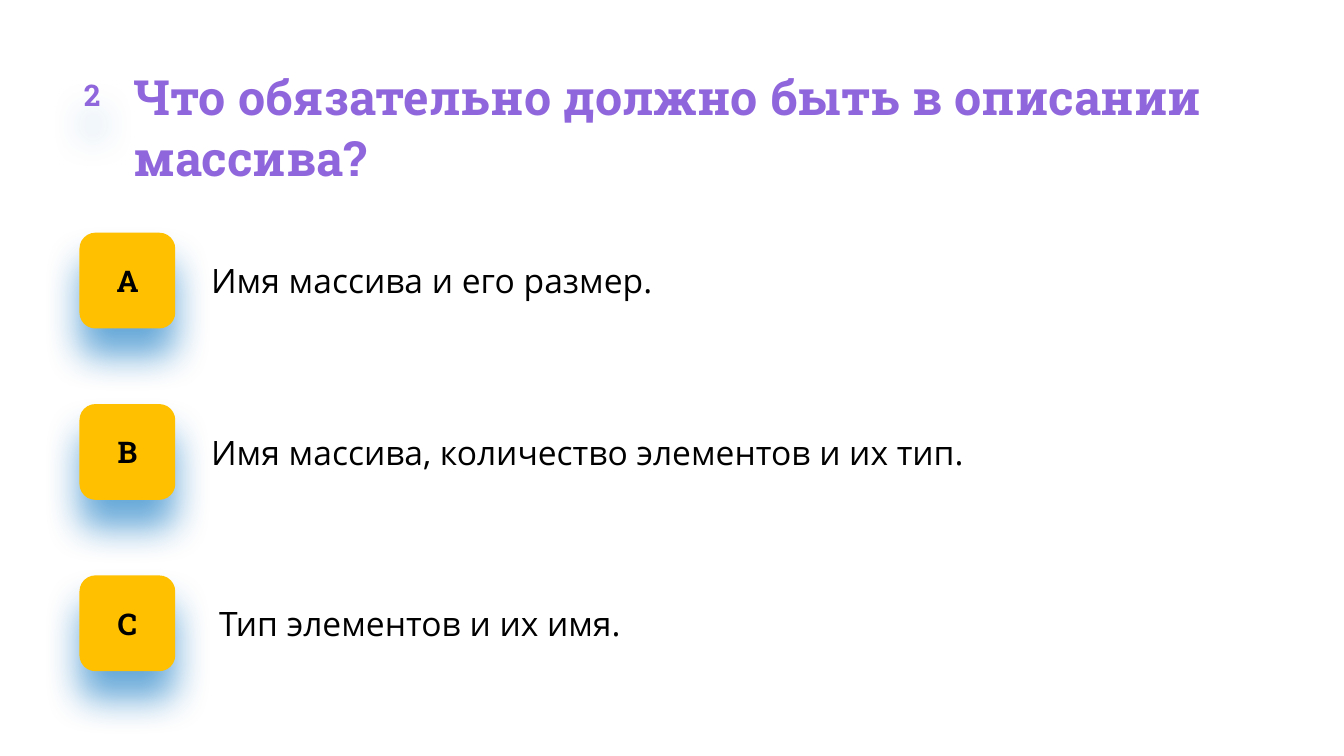
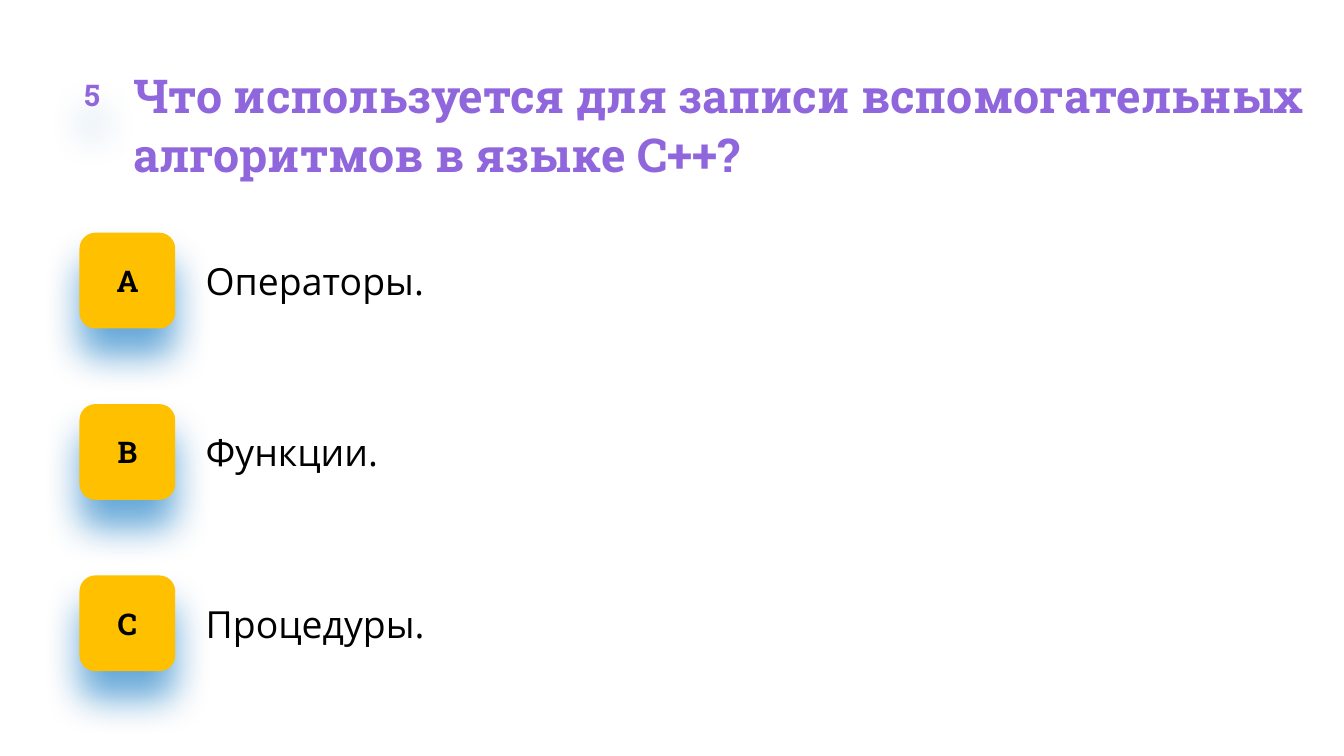
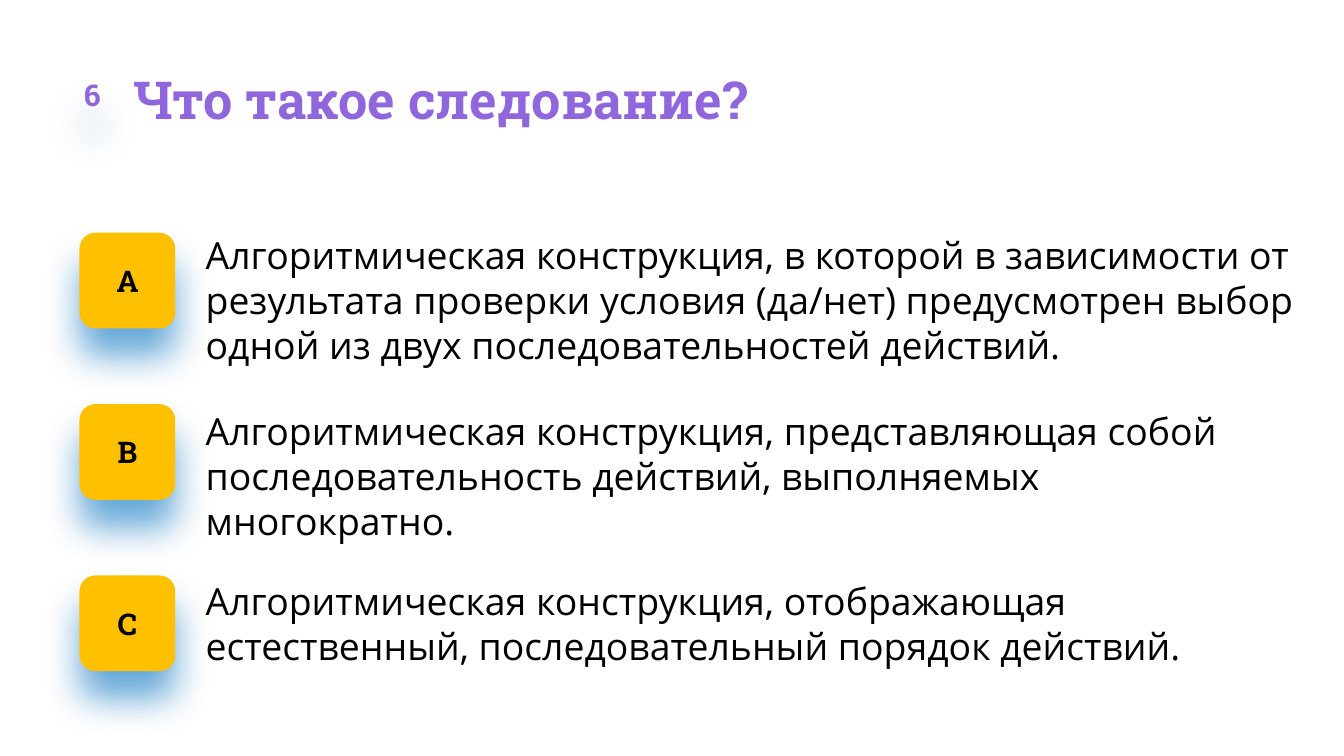
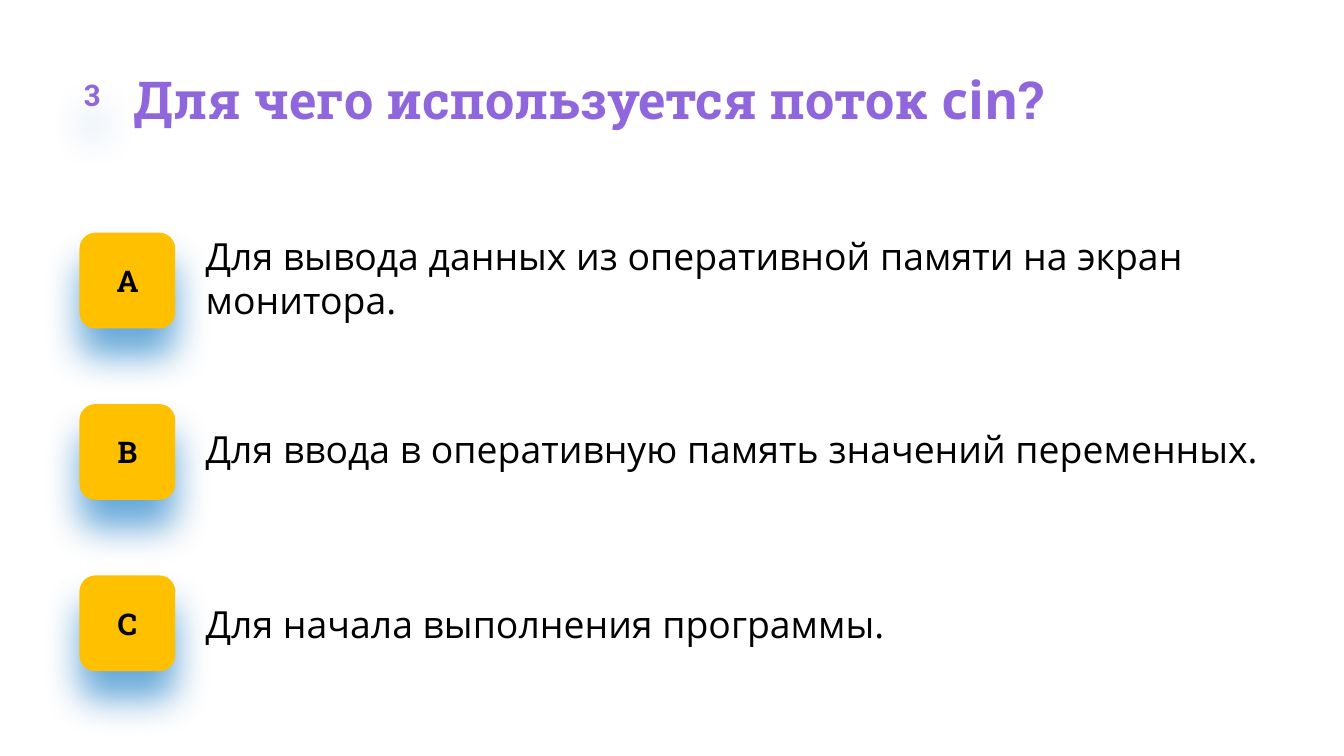
import dataclasses

import lxml.etree
import pptx
import pptx.dml.color
import pptx.enum.shapes
import pptx.enum.text
import pptx.oxml.ns
import pptx.util

Pt = pptx.util.Pt
qn = pptx.oxml.ns.qn


@dataclasses.dataclass(frozen=True)
class Theme:
    purple: str = "9066DC"
    amber: str = "FFC000"
    glow: str = "0070C0"
    black: str = "000000"
    head_font: str = "Roboto Slab"
    body_font: str = "Open Sans"
    label_size: int = 16
    answer_size: int = 20
    small_answer_size: int = 18
    title_spacing: float = 1.06
    line_ratio: float = 1.21


class Quiz:
    tile_left, tile_top, tile_size, tile_step = 42.6, 124.7, 51.3, 91.8
    answer_left, answer_inset = 100.1, 10.1

    def __init__(self, prs, theme):
        self.prs = prs
        self.theme = theme
        self.slide = None

    def new_slide(self):
        self.slide = self.prs.slides.add_slide(self.prs.slide_layouts[6])

    def frame(self, sp, **extra):
        fmt = dict(margin_left=0, margin_top=0, margin_right=0, margin_bottom=0, word_wrap=True)
        for name, value in (fmt | extra).items():
            setattr(sp.text_frame, name, value)
        return sp.text_frame.paragraphs[0]

    def run(self, p, text, size, font, color, bold=False):
        r = p.add_run()
        r.text = text
        for name, value in dict(size=Pt(size), name=font, bold=bold).items():
            setattr(r.font, name, value)
        r.font.color.rgb = pptx.dml.color.RGBColor.from_string(color)

    def text_box(self, left, top, width, height, inset=0):
        sp = self.slide.shapes.add_textbox(Pt(left), Pt(top), Pt(width), Pt(height))
        return self.frame(sp, margin_left=Pt(inset),
                          auto_size=pptx.enum.text.MSO_AUTO_SIZE.SHAPE_TO_FIT_TEXT)

    def glow(self, sp):
        sp.shadow.inherit = False
        effects = sp._element.spPr.find(qn("a:effectLst"))
        shadow = lxml.etree.SubElement(effects, qn("a:outerShdw"), {
            "blurRad": str(Pt(20)), "dist": str(Pt(15)), "dir": "5400000",
            "algn": "t", "rotWithShape": "0"})
        color = lxml.etree.SubElement(shadow, qn("a:srgbClr"), val=self.theme.glow)
        lxml.etree.SubElement(color, qn("a:alpha"), val="60000")

    def tile(self, text, left, top, size, color, fill=None):
        sp = self.slide.shapes.add_shape(
            pptx.enum.shapes.MSO_SHAPE.ROUNDED_RECTANGLE, Pt(left), Pt(top), Pt(size), Pt(size))
        if fill:
            sp.fill.solid()
            sp.fill.fore_color.rgb = pptx.dml.color.RGBColor.from_string(fill)
        else:
            sp.fill.background()
        sp.line.fill.background()
        self.glow(sp)
        p = self.frame(sp, vertical_anchor=pptx.enum.text.MSO_ANCHOR.MIDDLE)
        p.alignment = pptx.enum.text.PP_ALIGN.CENTER
        self.run(p, text, self.theme.label_size, self.theme.head_font, color, True)

    def title(self, parts, size, width, height):
        p = self.text_box(71.5, 33.8, width, height)
        p.line_spacing = self.theme.title_spacing
        for text, font in parts:
            self.run(p, text, size, font, self.theme.purple, True)

    def number(self, text):
        self.tile(text, 28.1, 29.5, 42.5, self.theme.purple)

    def option(self, row, letter):
        self.tile(letter, self.tile_left, self.tile_top + row * self.tile_step,
                  self.tile_size, self.theme.black, self.theme.amber)

    def answer(self, row, text, width, lines=1, shift=0, left=answer_left, size=None, indent=0):
        size = size or self.theme.answer_size
        height = lines * size * self.theme.line_ratio
        middle = self.tile_top + row * self.tile_step + self.tile_size / 2
        p = self.text_box(left, middle - height / 2 + shift, width, height, self.answer_inset)
        if indent:
            pPr = p._p.get_or_add_pPr()
            pPr.set("marL", "0")
            pPr.set("indent", str(Pt(indent)))
        self.run(p, text, size, self.theme.body_font, self.theme.black)


def main():
    theme = Theme()
    prs = pptx.Presentation()
    prs.slide_width, prs.slide_height = Pt(720), Pt(405)
    quiz = Quiz(prs, theme)
    head, body = theme.head_font, theme.body_font
    small = dict(size=theme.small_answer_size, indent=14.4, left=88.6)

    questions = [
        ("2", [("Что обязательно должно быть в описании массива?", head)], (26, 638.6, 64.8), [
            dict(text="Имя массива и его размер.", width=370.8, **small),
            dict(text="Имя массива, количество элементов и их тип.", width=506.2, **small),
            dict(text="Тип элементов и их имя.", width=506.2, **small | dict(left=92.9)),
        ]),
        ("5", [("Что используется для записи вспомогательных алгоритмов в языке C++?", head)],
         (25, 634.3, 62.6), [
            dict(text="Операторы.", width=506.2),
            dict(text="Функции.", width=506.2),
            dict(text="Процедуры.", width=506.2),
        ]),
        ("6", [("Что такое следование?", head)], (28, 634.3, 33.8), [
            dict(text="Алгоритмическая конструкция, в которой в зависимости от результата проверки "
                      "условия (да/нет) предусмотрен выбор одной из двух последовательностей действий.",
                 width=597.6, lines=3, shift=10.5),
            dict(text="Алгоритмическая конструкция, представляющая собой последовательность "
                      "действий, выполняемых многократно.",
                 width=577.4, lines=3, shift=13),
            dict(text="Алгоритмическая конструкция, отображающая естественный, последовательный "
                      "порядок действий.",
                 width=597.6, lines=2),
        ]),
        ("3", [("Для чего используется поток ", head), ("cin", body), ("?", head)],
         (28, 634.3, 36), [
            dict(text="Для вывода данных из оперативной памяти на экран монитора.",
                 width=597.6, lines=2, shift=-1.5),
            dict(text="Для ввода в оперативную память значений переменных.",
                 width=577.4, shift=-1.5),
            dict(text="Для начала выполнения программы.", width=597.6),
        ]),
    ]

    for number, parts, title_format, answers in questions:
        quiz.new_slide()
        quiz.title(parts, *title_format)
        quiz.number(number)
        for row, (letter, answer) in enumerate(zip("АBC", answers)):
            quiz.option(row, letter)
            quiz.answer(row, **answer)

    prs.save("out.pptx")


if __name__ == "__main__":
    main()
